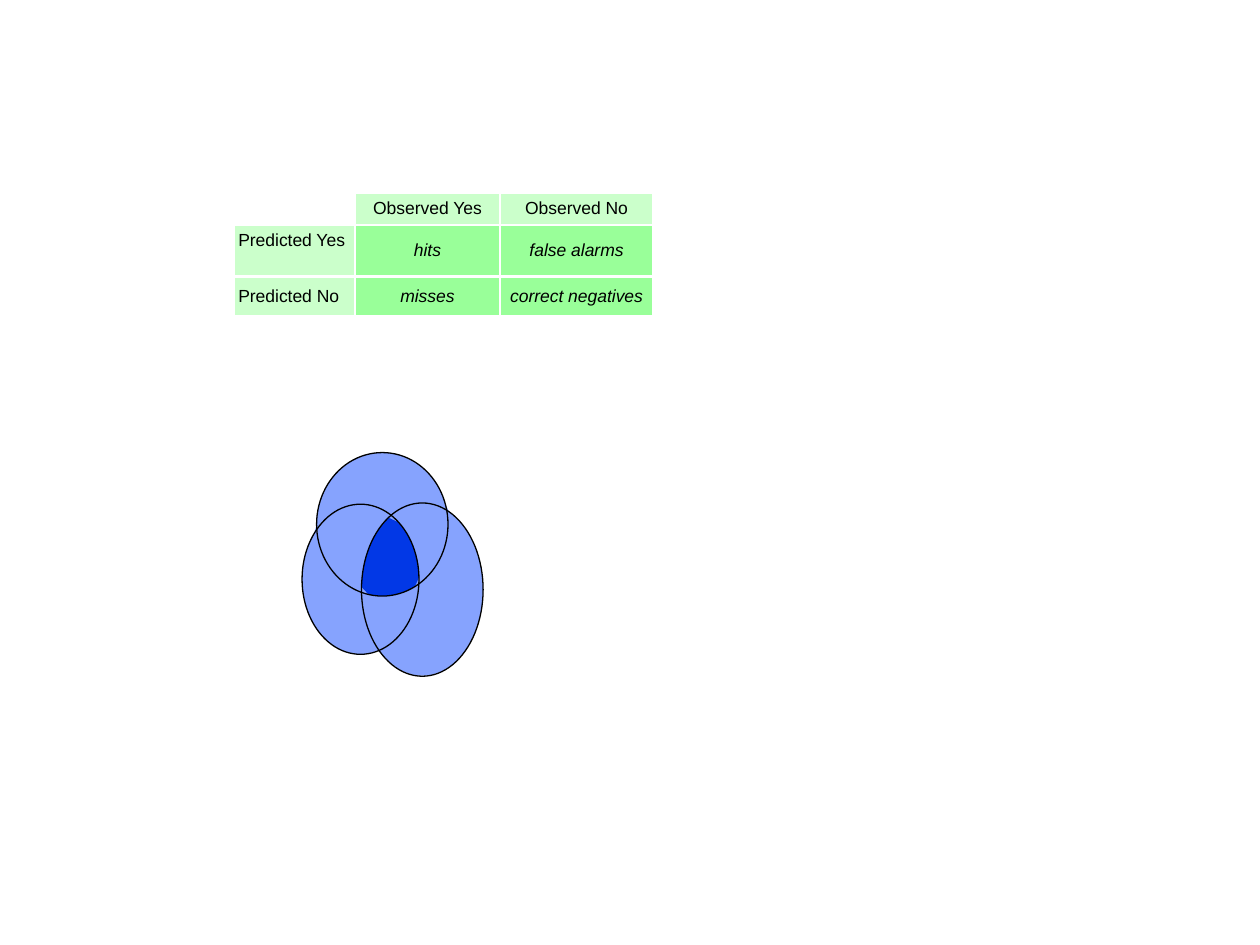
import math

from lxml import etree
from pptx import Presentation
from pptx import util as u
from pptx.dml.color import RGBColor
from pptx.enum import shapes, text
from pptx.oxml.ns import qn

WHITE = RGBColor(0xFF, 0xFF, 0xFF)
BLACK = RGBColor(0, 0, 0)
GREEN = RGBColor(0x99, 0xFF, 0x99)
LIGHT_BLUE = RGBColor(0x86, 0xA3, 0xFE)
DEEP_BLUE = RGBColor(0x02, 0x38, 0xE6)

# Content
ROWS = [
    ["", "Observed Yes", "Observed No"],
    ["Predicted Yes", "hits", "false alarms"],
    ["Predicted No", "misses", "correct negatives"],
]
TABLE_LEFT, TABLE_TOP = 133.4, 110.2
COLUMN_WIDTHS = [69.4, 82.9, 87.5]
ROW_HEIGHTS = [18.3, 29.5, 22.5]
BORDER = 1.47

# Ellipses: left, top, width, height
ELLIPSES = [
    (172.6, 288.1, 66.8, 85.8),
    (180.9, 258.6, 75.1, 82),
    (206.6, 287.4, 69.5, 99),
]
OVERLAP_CENTRE = (222, 320)

# Regions: chosen edge (max is the union, min the overlap), points, colour
REGIONS = [(max, 56, LIGHT_BLUE), (min, 24, DEEP_BLUE)]


def format_cell(cell, label, row, column):
    side_heading = column == 0
    top_aligned = (row, column) == (1, 0)
    layout = {
        "margin_left": u.Pt(2.8 if side_heading else 1.44),
        "margin_right": u.Pt(1.44),
        "margin_top": u.Pt(3.6 if top_aligned else 2.8),
        "margin_bottom": u.Pt(2.8),
        "vertical_anchor": text.MSO_ANCHOR.TOP if top_aligned
        else text.MSO_ANCHOR.MIDDLE,
    }
    for name, value in layout.items():
        setattr(cell, name, value)

    # Borders come before the fill in the cell properties
    properties = cell._tc.get_or_add_tcPr()
    for side in ("lnL", "lnR", "lnT", "lnB"):
        line = etree.SubElement(properties, qn("a:" + side), w=str(u.Pt(BORDER)))
        paint = etree.SubElement(line, qn("a:solidFill"))
        etree.SubElement(paint, qn("a:srgbClr"), val=str(WHITE))
    cell.fill.solid()
    cell.fill.fore_color.rgb = GREEN if label else WHITE
    heading = row == 0 or side_heading
    if label and heading:
        colour = properties.find(qn("a:solidFill")).find(qn("a:srgbClr"))
        etree.SubElement(colour, qn("a:alpha"), val="50000")

    para = cell.text_frame.paragraphs[0]
    para.alignment = text.PP_ALIGN.LEFT if side_heading else text.PP_ALIGN.CENTER
    if not label:
        # Small end mark keeps the empty cell from stretching its row
        etree.SubElement(para._p, qn("a:endParaRPr"), sz="1000")
        return
    para.space_before = u.Pt(2.5)
    span = para.add_run()
    span.text = label
    font = {"name": "Arial", "size": u.Pt(10), "bold": False, "italic": not heading}
    for name, value in font.items():
        setattr(span.font, name, value)
    span.font.color.rgb = BLACK


def add_contingency_table(page):
    frame = page.shapes.add_table(
        len(ROWS), len(COLUMN_WIDTHS), u.Pt(TABLE_LEFT), u.Pt(TABLE_TOP),
        u.Pt(sum(COLUMN_WIDTHS)), u.Pt(sum(ROW_HEIGHTS)))
    table = frame.table
    table.first_row = table.horz_banding = False
    for column, width in zip(table.columns, COLUMN_WIDTHS):
        column.width = u.Pt(width)
    for row, height in zip(table.rows, ROW_HEIGHTS):
        row.height = u.Pt(height)
    for r, labels in enumerate(ROWS):
        for c, label in enumerate(labels):
            format_cell(table.cell(r, c), label, r, c)


def ray_length(ellipse, angle):
    """Distance from the overlap centre to the ellipse along an angle."""
    left, top, width, height = ellipse
    a, b = width / 2, height / 2
    x = (OVERLAP_CENTRE[0] - left - a) / a
    y = (OVERLAP_CENTRE[1] - top - b) / b
    dx, dy = math.cos(angle) / a, math.sin(angle) / b
    square, half = dx * dx + dy * dy, x * dx + y * dy
    return (math.sqrt(half * half - square * (x * x + y * y - 1)) - half) / square


def add_region(page, choose, steps, colour):
    points = []
    for step in range(steps):
        angle = 2 * math.pi * step / steps
        reach = choose(ray_length(ellipse, angle) for ellipse in ELLIPSES)
        points.append((u.Pt(OVERLAP_CENTRE[0] + reach * math.cos(angle)),
                       u.Pt(OVERLAP_CENTRE[1] + reach * math.sin(angle))))
    builder = page.shapes.build_freeform(*points[0])
    builder.add_line_segments(points[1:], close=True)
    region = builder.convert_to_shape()
    region.shadow.inherit = False
    region.fill.solid()
    region.fill.fore_color.rgb = colour
    region.line.fill.background()


def add_venn_diagram(page):
    for region in REGIONS:
        add_region(page, *region)
    for ellipse in ELLIPSES:
        outline = page.shapes.add_shape(
            shapes.MSO_SHAPE.OVAL, *(u.Pt(length) for length in ellipse))
        outline.shadow.inherit = False
        outline.fill.background()
        outline.line.color.rgb = BLACK
        outline.line.width = u.Pt(0.75)


def main():
    deck = Presentation()
    deck.slide_width, deck.slide_height = u.Pt(720), u.Pt(540)
    page = deck.slides.add_slide(deck.slide_layouts[6])
    add_contingency_table(page)
    add_venn_diagram(page)
    deck.save("out.pptx")


if __name__ == "__main__":
    main()
